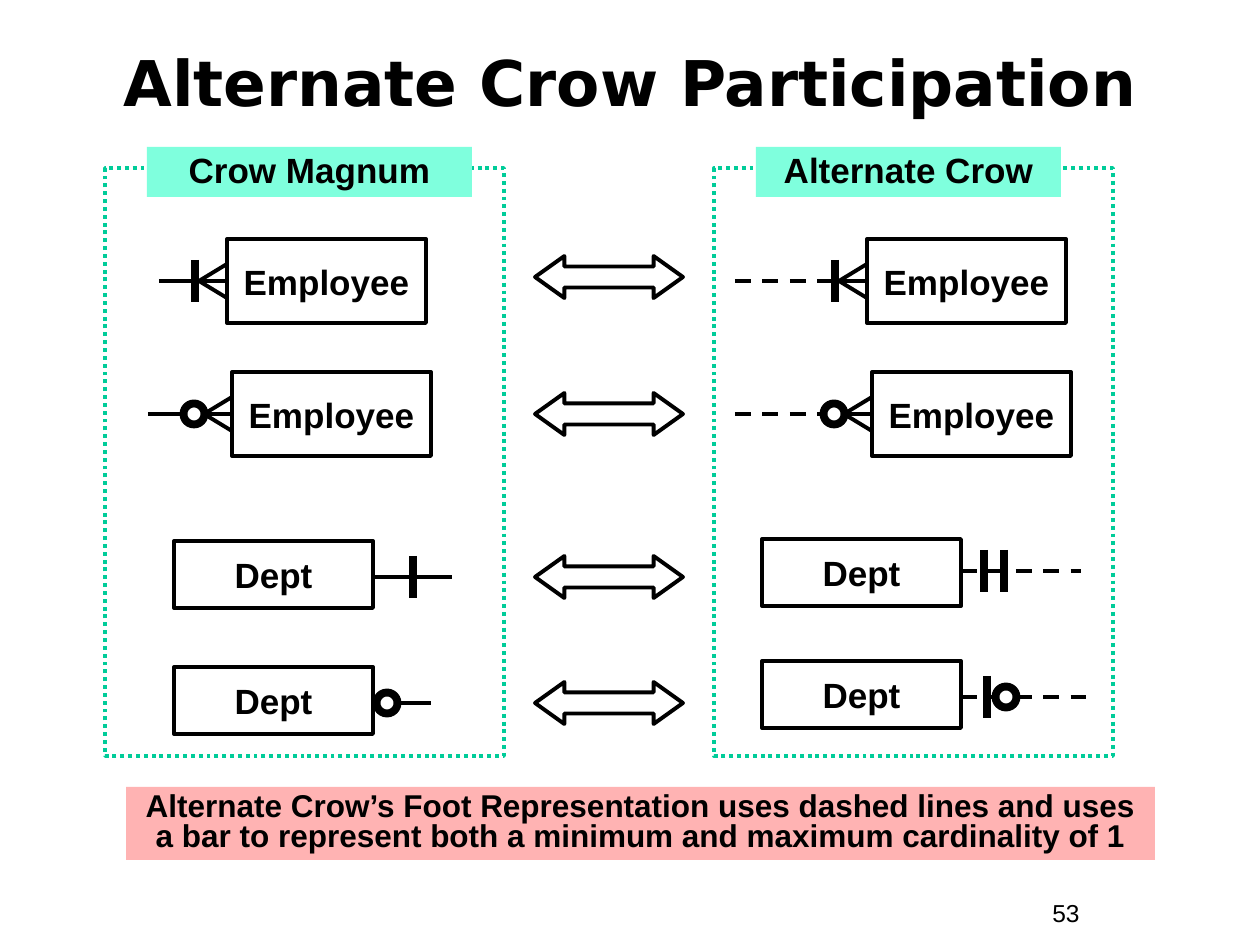
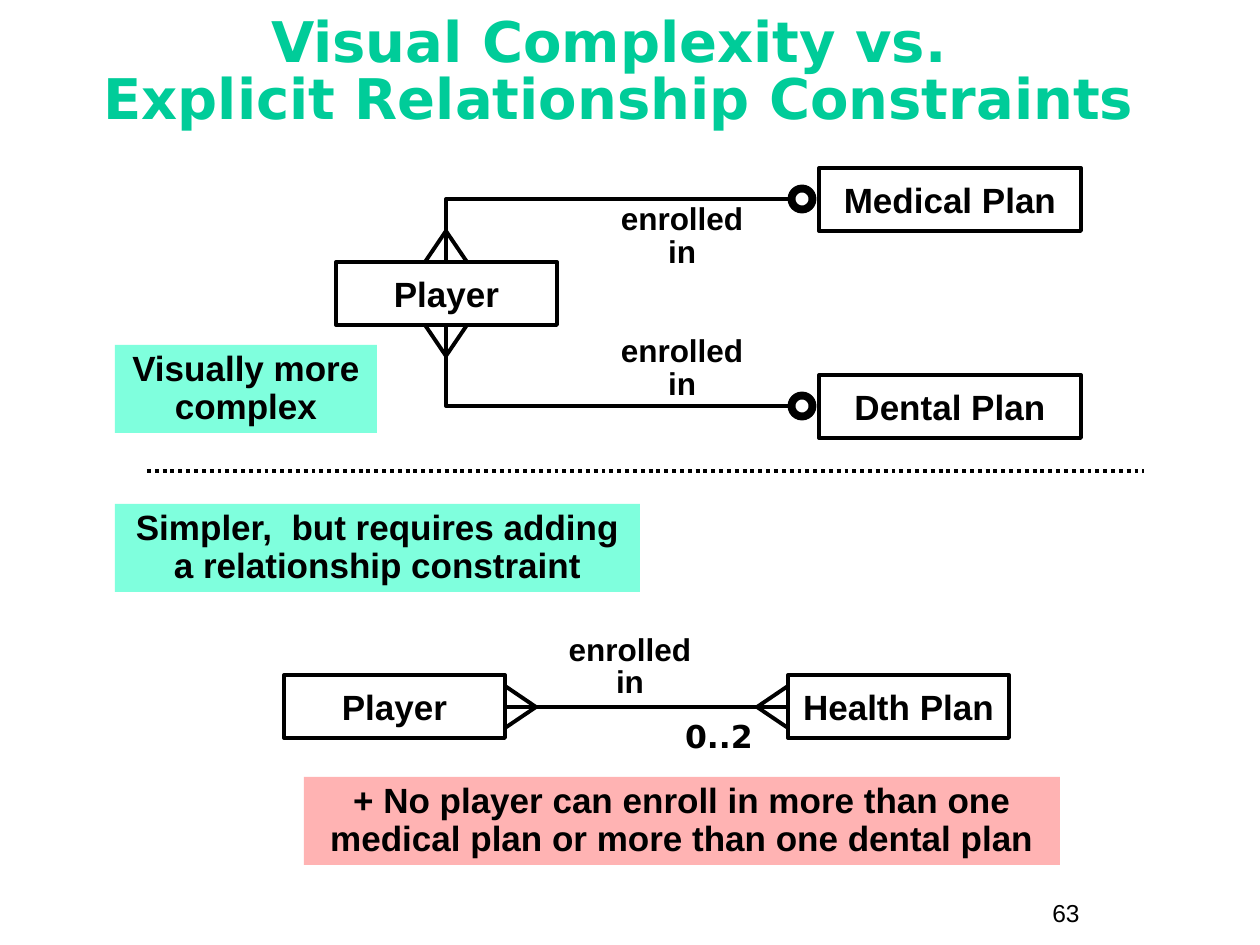
from pptx import Presentation
from pptx.dml.color import RGBColor
from pptx.enum.dml import MSO_LINE
from pptx.enum.shapes import MSO_CONNECTOR, MSO_SHAPE
from pptx.enum.text import MSO_ANCHOR, PP_ALIGN
from pptx.oxml import parse_xml
from pptx.oxml.ns import nsdecls
from pptx.util import Pt

EMU_PER_PX = 914400 / 126
BLACK = RGBColor(0x00, 0x00, 0x00)
WHITE = RGBColor(0xFF, 0xFF, 0xFF)
GREEN = RGBColor(0x00, 0xCC, 0x99)
MINT = RGBColor(0x7F, 0xFF, 0xDD)
PINK = RGBColor(0xFF, 0xB3, 0xB3)
BODY_FONT = "Arial"
TITLE_FONT = "DejaVu Sans"
THIN, THICK = 2.25, 4.5
ENTITY_WIDTH = 199


def px(*lengths):
    return [round(length * EMU_PER_PX) for length in lengths]


def write(frame, text, size=20, bold=True, font=BODY_FONT, color=BLACK,
          spacing=1.0, align=PP_ALIGN.CENTER, anchor=MSO_ANCHOR.TOP, wrap=True):
    frame.word_wrap = wrap
    frame.vertical_anchor = anchor
    paragraph = frame.paragraphs[0]
    paragraph.alignment = align
    paragraph.line_spacing = spacing
    for number, words in enumerate(text.split("\n")):
        if number:
            paragraph.add_line_break()
        run = paragraph.add_run()
        run.text = words
        run.font.color.rgb = color
        formats = {"size": Pt(size), "bold": bold, "name": font}
        for attribute, value in formats.items():
            setattr(run.font, attribute, value)


def add_text(slide, box, text, **style):
    write(slide.shapes.add_textbox(*px(*box)).text_frame, text, **style)


def style_outline(line, color=BLACK, weight=THIN, dash=None):
    line.color.rgb = color
    line.width = Pt(weight)
    if dash:
        line.dash_style = dash


def add_outlined(slide, preset, box, fill=None, **outline):
    shape = slide.shapes.add_shape(preset, *px(*box))
    shape.shadow.inherit = False
    if fill is None:
        shape.fill.background()
    else:
        shape.fill.solid()
        shape.fill.fore_color.rgb = fill
    style_outline(shape.line, **outline)
    return shape


def add_line(slide, start, end, **outline):
    line = slide.shapes.add_connector(MSO_CONNECTOR.STRAIGHT, *px(*start, *end))
    line._element.spPr.append(parse_xml(f"<a:effectLst {nsdecls('a')}/>"))
    style_outline(line.line, **outline)


def add_elbow(slide, start, corner, end):
    builder = slide.shapes.build_freeform(*start, scale=EMU_PER_PX)
    builder.add_line_segments([corner, end], close=False)
    elbow = builder.convert_to_shape()
    elbow.shadow.inherit = False
    elbow.fill.background()
    style_outline(elbow.line)


def add_entity(slide, box, name):
    entity = add_outlined(slide, MSO_SHAPE.RECTANGLE, box)
    write(entity.text_frame, name, anchor=MSO_ANCHOR.MIDDLE, wrap=False)


def add_callout(slide, box, text, fill=MINT, size=20, spacing=0.9):
    callout = add_outlined(slide, MSO_SHAPE.RECTANGLE, box, fill)
    callout.line.fill.background()
    write(callout.text_frame, text, size=size, spacing=spacing)


def add_ring(slide, x, y):
    """Optional participation, centred on the point."""
    add_outlined(slide, MSO_SHAPE.OVAL, (x - 10.5, y - 10.5, 21, 21),
                 WHITE, weight=THICK)


def add_bar(slide, x, y):
    """Mandatory participation, centred on the point."""
    add_line(slide, (x, y - 21), (x, y + 21), weight=THICK)


def add_crow_foot(slide, tip, heel, spread):
    """Three strands from the tip to an entity edge centred on the heel."""
    horizontal = tip[1] == heel[1]
    for offset in (-spread, 0, spread):
        shift = (0, offset) if horizontal else (offset, 0)
        add_line(slide, tip, (heel[0] + shift[0], heel[1] + shift[1]))


def add_title(slide, box, text, **style):
    add_text(slide, box, text, font=TITLE_FONT, anchor=MSO_ANCHOR.MIDDLE, **style)


def add_page_number(slide, number):
    add_text(slide, (1040, 892, 116, 43), str(number), size=14, bold=False,
             align=PP_ALIGN.LEFT)


def employee_row(slide, left, top, stem_start, optional, dash):
    """Entity whose many-sided relationship leaves to the left."""
    y = top + 42
    stem_end = left - (48 if optional else 28)
    add_entity(slide, (left, top, ENTITY_WIDTH, 84), "Employee")
    add_line(slide, (stem_start, y), (stem_end, y), dash=dash)
    add_crow_foot(slide, (left - 28, y), (left, y), 17)
    if optional:
        add_ring(slide, left - 38, y)
    else:
        add_bar(slide, left - 32, y)


def dept_row(slide, left, top, level, reach, bars, rings, dash):
    """Entity whose one-sided relationship leaves to the right."""
    edge, y = left + ENTITY_WIDTH, top + level
    add_entity(slide, (left, top, ENTITY_WIDTH, 67), "Dept")
    add_line(slide, (edge, y), (edge + reach, y), dash=dash)
    for offset in bars:
        add_bar(slide, edge + offset, y)
    for offset in rings:
        add_ring(slide, edge + offset, y)


def notation_panel(slide, left, top, heading, heading_width,
                   employees, depts, dash=None):
    add_outlined(slide, MSO_SHAPE.RECTANGLE, (left, top, 399, 588), WHITE,
                 color=GREEN, dash=MSO_LINE.ROUND_DOT)
    add_callout(slide, (left + 42, top - 21, heading_width, 50), heading)
    for x, y, stem_start, optional in employees:
        employee_row(slide, left + x, top + y, left + stem_start, optional, dash)
    for x, y, *markings in depts:
        dept_row(slide, left + x, top + y, *markings, dash)


def equivalence_arrows(slide, left, tops):
    for top in tops:
        arrow = add_outlined(slide, MSO_SHAPE.LEFT_RIGHT_ARROW,
                             (left, top, 148, 42))
        arrow.adjustments[0] = 0.5
        arrow.adjustments[1] = 0.7


def participation_slide(slide):
    add_title(slide, (42, 23, 1176, 116), "Alternate Crow Participation", size=36)
    notation_panel(
        slide, 105, 168, "Crow Magnum", 325,
        employees=[(122, 71, 54, False), (127, 204, 43, True)],
        depts=[(69, 373, 36, 79, [40], []), (69, 499, 36, 58, [], [14])])
    notation_panel(
        slide, 714, 168, "Alternate Crow", 305,
        employees=[(153, 71, 21, False), (158, 204, 21, True)],
        depts=[(48, 371, 32, 120, [23, 43], []), (48, 493, 36, 127, [26], [45])],
        dash=MSO_LINE.DASH)
    equivalence_arrows(slide, 535, (256, 393, 556, 682))
    add_callout(slide, (126, 787, 1029, 73),
                "Alternate Crow’s Foot Representation uses dashed lines and uses "
                "a bar to represent both a minimum and maximum cardinality of 1",
                fill=PINK, size=18, spacing=0.8)
    add_page_number(slide, 53)


def enrolled_label(slide, left, top):
    add_text(slide, (left, top, 210, 77), "enrolled\nin", size=18, spacing=0.85)


def separate_plans(slide, left, top):
    """One player entity joined to two plan entities."""
    center = left + 110
    plan_left = left + 483
    add_entity(slide, (left, top, 221, 63), "Player")
    branches = [("Medical Plan", 0, -1, -63, -63), ("Dental Plan", 63, 1, 81, 69)]
    for plan, edge, direction, level, label_top in branches:
        heel = (center, top + edge)
        y = heel[1] + level
        add_elbow(slide, heel, (center, y), (plan_left - 31, y))
        add_crow_foot(slide, (center, heel[1] + 31 * direction), heel, 21)
        add_entity(slide, (plan_left, y - 31, 262, 63), plan)
        add_ring(slide, plan_left - 17, y)
        enrolled_label(slide, left + 241, top + label_top)


def combined_plan(slide, left, top):
    """One player entity joined to one plan entity."""
    y = top + 32
    player_edge, plan_edge = left + 221, left + 504
    add_entity(slide, (left, top, 221, 63), "Player")
    add_entity(slide, (plan_edge, top, 221, 63), "Health Plan")
    add_line(slide, (player_edge, y), (plan_edge, y))
    add_crow_foot(slide, (player_edge + 31, y), (player_edge, y), 21)
    add_crow_foot(slide, (plan_edge - 31, y), (plan_edge, y), 21)
    enrolled_label(slide, left + 241, top - 45)
    add_text(slide, (left + 367, top + 36, 136, 50), "0..2", size=18,
             font=TITLE_FONT)


def complexity_slide(slide):
    add_title(slide, (31, 21, 1176, 105),
              "Visual Complexity vs. \nExplicit Relationship Constraints",
              size=32, color=GREEN, spacing=0.85)
    separate_plans(slide, 336, 262)
    add_callout(slide, (115, 345, 262, 88), "Visually more complex")
    add_line(slide, (147, 471), (1144, 471), dash=MSO_LINE.ROUND_DOT)
    add_callout(slide, (115, 504, 525, 88),
                "Simpler,  but requires adding a relationship constraint")
    combined_plan(slide, 284, 675)
    add_callout(slide, (304, 777, 756, 88),
                "+ No player can enroll in more than one medical plan "
                "or more than one dental plan", fill=PINK)
    add_page_number(slide, 63)


def main():
    deck = Presentation()
    deck.slide_width, deck.slide_height = px(1260, 945)
    for build in (participation_slide, complexity_slide):
        build(deck.slides.add_slide(deck.slide_layouts[6]))
    deck.save("out.pptx")


if __name__ == "__main__":
    main()
